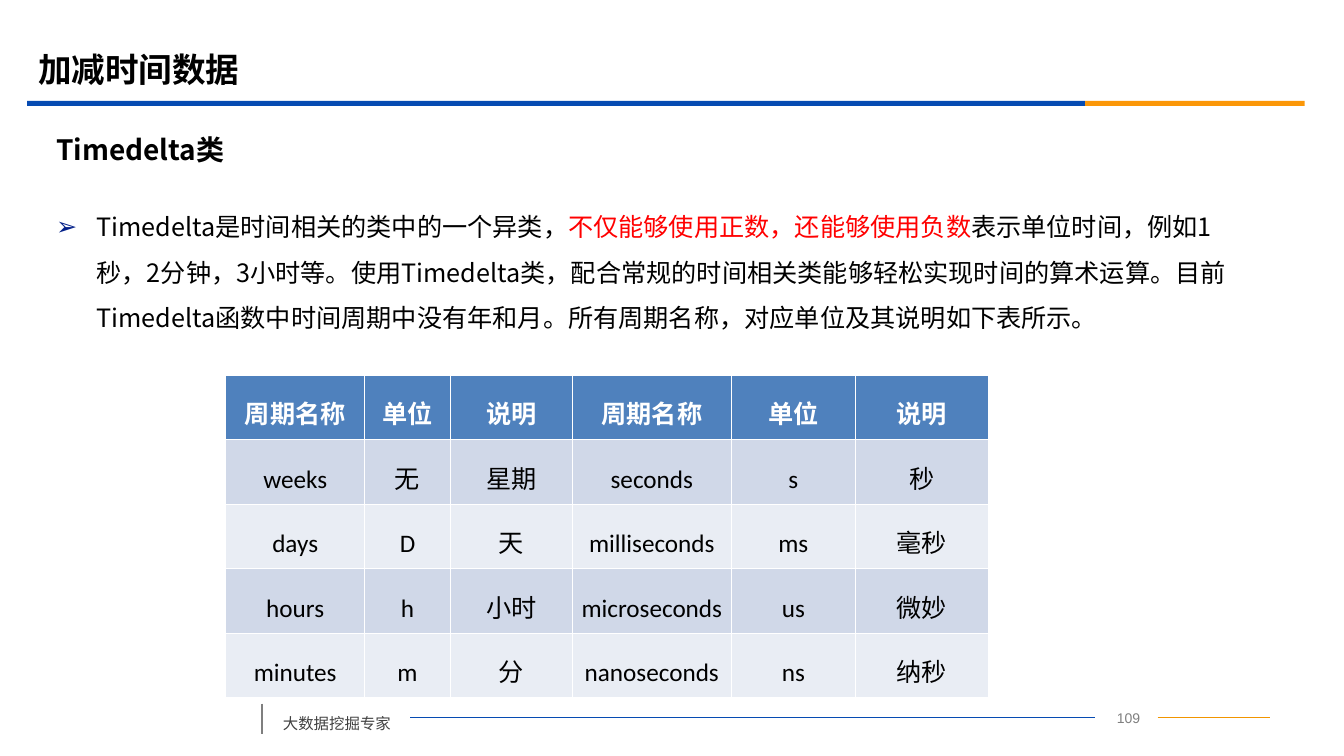
from lxml import etree
from pptx import Presentation
from pptx.dml.color import RGBColor
from pptx.enum.shapes import MSO_CONNECTOR, MSO_SHAPE
from pptx.enum.text import MSO_ANCHOR, PP_ALIGN
from pptx.oxml.ns import qn
from pptx.util import Inches, Pt

STRAIGHT = MSO_CONNECTOR.STRAIGHT
RECTANGLE = MSO_SHAPE.RECTANGLE
TOP, MIDDLE = MSO_ANCHOR.TOP, MSO_ANCHOR.MIDDLE
LEFT, CENTER = PP_ALIGN.LEFT, PP_ALIGN.CENTER

CJK = "Noto Sans CJK SC"
COLORS = {
    "black": "000000", "white": "FFFFFF", "red": "FF0000", "gray": "7F7F7F",
    "footer": "404040", "blue": "064BB2", "orange": "FB9708",
    "amber": "F19500", "bullet": "032089",
    "header": "4F81BD", "band": "D0D8E8", "pale": "E9EDF4",
}

TITLE = "加减时间数据"
SUBTITLE = "Timedelta类"
FOOTER = "大数据挖掘专家"
PAGE_NUMBER = "109"
EXPLANATION = [
    ("Timedelta是时间相关的类中的一个异类，", "black"),
    ("不仅能够使用正数，还能够使用负数", "red"),
    ("表示单位时间，例如1秒，2分钟，3小时等。使用Timedelta类，"
     "配合常规的时间相关类能够轻松实现时间的算术运算。"
     "目前Timedelta函数中时间周期中没有年和月。"
     "所有周期名称，对应单位及其说明如下表所示。", "black"),
]
PERIODS = [
    ("周期名称", "单位", "说明", "周期名称", "单位", "说明"),
    ("weeks", "无", "星期", "seconds", "s", "秒"),
    ("days", "D", "天", "milliseconds", "ms", "毫秒"),
    ("hours", "h", "小时", "microseconds", "us", "微妙"),
    ("minutes", "m", "分", "nanoseconds", "ns", "纳秒"),
]
COLUMN_WIDTHS = [1.38, 0.85, 1.21, 1.58, 1.23, 1.32]
ROW_HEIGHT = 0.64
RULE_BARS = [(0.27, 10.5, "blue"), (10.77, 2.18, "orange")]
FOOTER_LINES = [
    (11.49, 7.12, 12.61, 7.12, "amber", 0.75),
    (4.07, 7.12, 10.87, 7.12, "blue", 0.75),
    (2.6, 6.98, 2.6, 7.28, "gray", 1.25),
]


def rgb(color):
    return RGBColor.from_string(COLORS[color])


def style_run(run, size, color, bold=False, font=CJK):
    run.font.size = Pt(size)
    run.font.bold = bold
    run.font.color.rgb = rgb(color)
    run.font.name = font
    east_asian = etree.SubElement(run.font._element, qn("a:ea"))
    east_asian.set("typeface", font)


def add_text(slide, box, pieces, size, bold=False, font=CJK,
             anchor=TOP, align=LEFT, spacing=None):
    frame = slide.shapes.add_textbox(*map(Inches, box)).text_frame
    frame.word_wrap = True
    frame.vertical_anchor = anchor
    paragraph = frame.paragraphs[0]
    paragraph.alignment = align
    paragraph.line_spacing = spacing
    for text, color in pieces:
        run = paragraph.add_run()
        run.text = text
        style_run(run, size, color, bold, font)
    return paragraph


def add_bullet(paragraph, symbol, color, indent):
    properties = paragraph._p.get_or_add_pPr()
    properties.set("marL", str(Inches(indent)))
    properties.set("indent", str(-Inches(indent)))
    properties.set("hangingPunct", "0")
    bullet_color = etree.SubElement(properties, qn("a:buClr"))
    etree.SubElement(bullet_color, qn("a:srgbClr")).set("val", COLORS[color])
    etree.SubElement(properties, qn("a:buFont")).set("typeface", "Arial")
    etree.SubElement(properties, qn("a:buChar")).set("char", symbol)


def add_borders(cell, row):
    properties = cell._tc.get_or_add_tcPr()
    widths = {
        "a:lnL": 0.45, "a:lnR": 0.45,
        "a:lnT": 1.47 if row == 1 else 0.45,
        "a:lnB": 1.47 if row == 0 else 0.45,
    }
    for position, (side, width) in enumerate(widths.items()):
        border = etree.Element(qn(side), w=str(Pt(width)))
        fill = etree.SubElement(border, qn("a:solidFill"))
        etree.SubElement(fill, qn("a:srgbClr")).set("val", COLORS["white"])
        properties.insert(position, border)


def add_period_table(slide):
    table = slide.shapes.add_table(
        len(PERIODS), len(COLUMN_WIDTHS), Inches(2.24), Inches(3.72),
        Inches(sum(COLUMN_WIDTHS)), Inches(ROW_HEIGHT * len(PERIODS))).table
    for column, width in zip(table.columns, COLUMN_WIDTHS):
        column.width = Inches(width)
    for r, period_row in enumerate(PERIODS):
        table.rows[r].height = Inches(ROW_HEIGHT)
        is_header = r == 0
        fill = "header" if is_header else ("band" if r % 2 else "pale")
        for c, text in enumerate(period_row):
            cell = table.cell(r, c)
            cell.fill.solid()
            cell.fill.fore_color.rgb = rgb(fill)
            cell.vertical_anchor = MIDDLE
            cell.margin_left = cell.margin_right = Inches(0.06)
            cell.margin_top = cell.margin_bottom = Inches(0.05)
            add_borders(cell, r)
            paragraph = cell.text_frame.paragraphs[0]
            paragraph.text = text
            paragraph.alignment = CENTER
            paragraph.line_spacing = 1.5
            style_run(paragraph.runs[0], 18, "white" if is_header else "black",
                      is_header, "Calibri")


def main():
    deck = Presentation()
    deck.slide_width, deck.slide_height = Inches(13.34), Inches(7.5)
    slide = deck.slides.add_slide(deck.slide_layouts[6])

    add_text(slide, (10.89, 6.99, 0.62, 0.25), [(PAGE_NUMBER, "gray")], 10,
             font="Arial", align=CENTER)
    for x1, y1, x2, y2, color, width in FOOTER_LINES:
        line = slide.shapes.add_connector(
            STRAIGHT, *map(Inches, (x1, y1, x2, y2)))
        line.line.color.rgb = rgb(color)
        line.line.width = Pt(width)
        etree.SubElement(line._element.spPr, qn("a:effectLst"))
    for left, width, color in RULE_BARS:
        bar = slide.shapes.add_shape(
            RECTANGLE, *map(Inches, (left, 1, width, 0.05)))
        bar.shadow.inherit = False
        bar.fill.solid()
        bar.fill.fore_color.rgb = rgb(color)
        bar.line.fill.background()
    add_text(slide, (2.71, 6.94, 1.36, 0.38), [(FOOTER, "footer")], 11,
             spacing=1.5)

    explanation = add_text(slide, (0.46, 1.9, 12.15, 4.78), EXPLANATION, 18,
                           spacing=1.5)
    add_bullet(explanation, "➢", "bullet", 0.4)
    add_text(slide, (0.28, 0.39, 12, 0.58), [(TITLE, "black")], 24,
             bold=True, anchor=MIDDLE)
    add_text(slide, (0.46, 1.25, 12.15, 0.47), [(SUBTITLE, "black")], 20,
             bold=True, anchor=MIDDLE)
    add_period_table(slide)
    deck.save("out.pptx")


if __name__ == "__main__":
    main()
